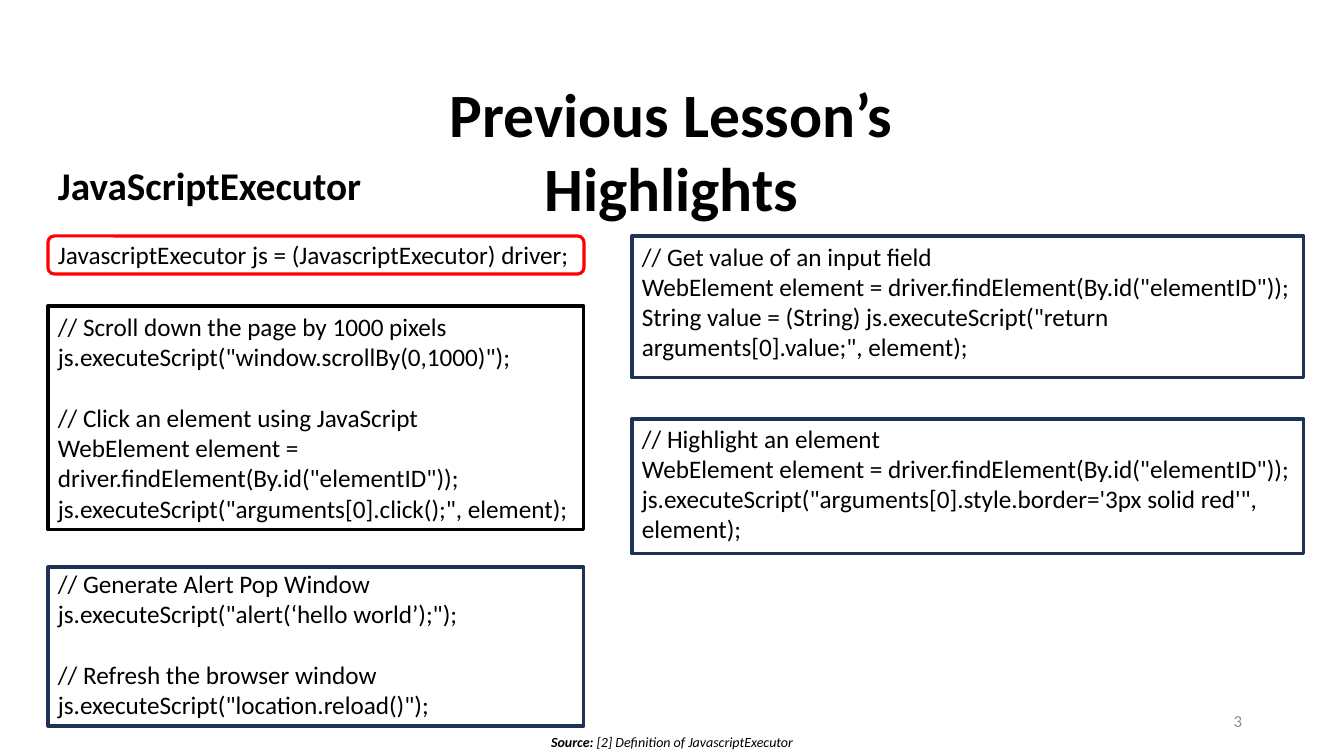
"""Build the JavaScriptExecutor highlights slide."""
from pptx import Presentation
from pptx.dml.color import RGBColor
from pptx.enum.shapes import MSO_SHAPE
from pptx.enum.text import MSO_ANCHOR, PP_ALIGN
from pptx.util import Emu, Pt

LEFT, CENTER, RIGHT = PP_ALIGN.LEFT, PP_ALIGN.CENTER, PP_ALIGN.RIGHT
TOP, MIDDLE = MSO_ANCHOR.TOP, MSO_ANCHOR.MIDDLE
RECTANGLE, ROUNDED = MSO_SHAPE.RECTANGLE, MSO_SHAPE.ROUNDED_RECTANGLE

COLORS = {"text": "000000", "muted": "8C8C8C", "navy": "1E3256", "red": "FF0000"}
FONT = "Calibri"
CODE_SIZE = 18
CODE_LINE = 22
SLIDE_SIZE = (1344, 756)
LEFT_COLUMN = (48, 536)
RIGHT_COLUMN = (632, 672)

LABELS = [
    ("Previous Lesson’s Highlights", (324, 71, 695, 85), 44, True, "text", CENTER, TOP),
    ("3", (950, 701, 302, 40), 12, False, "muted", RIGHT, MIDDLE),
    ("JavaScriptExecutor", (48, 156, 510, 57), 28, True, "text", LEFT, TOP),
]
SOURCE_BOX = (336, 729, 672, 27)
SOURCE_RUNS = [("Source:", True), ("\u00a0[2] Definition of JavascriptExecutor".replace("\u00a0", " "), False)]

# CODE
CODE = [
    (LEFT_COLUMN, 234, 40, [["JavascriptExecutor js = (JavascriptExecutor) driver;"]]),
    (LEFT_COLUMN, 306, 224, [
        ["// Scroll down the page by 1000 pixels",
         'js.executeScript("window.scrollBy(0,1000)");'],
        ["// Click an element using JavaScript",
         'WebElement element = driver.findElement(By.id("elementID")); '
         'js.executeScript("arguments[0].click();", element);'],
    ]),
    (LEFT_COLUMN, 563, 163, [
        ["// Generate Alert Pop Window", 'js.executeScript("alert(‘hello world’);");'],
        ["// Refresh the browser window", 'js.executeScript("location.reload()");'],
    ]),
    (RIGHT_COLUMN, 236, 163, [
        ["// Get value of an input field",
         'WebElement element = driver.findElement(By.id("elementID"));',
         'String value = (String) js.executeScript("return arguments[0].value;", element);'],
    ]),
    (RIGHT_COLUMN, 418, 132, [
        ["// Highlight an element",
         'WebElement element = driver.findElement(By.id("elementID")); '
         "js.executeScript(\"arguments[0].style.border='3px solid red'\", element);"],
    ]),
]
FRAMES = [
    (LEFT_COLUMN, 236, 38, ROUNDED, "red"),
    (LEFT_COLUMN, 306, 224, RECTANGLE, "text"),
    (LEFT_COLUMN, 567, 159, RECTANGLE, "navy"),
    (RIGHT_COLUMN, 236, 142, RECTANGLE, "navy"),
    (RIGHT_COLUMN, 419, 135, RECTANGLE, "navy"),
]


def px(value):
    return Emu(round(value * 914400 / 100.8))


def color(name):
    return RGBColor.from_string(COLORS[name])


def style(font, size, bold=False, color_name="text"):
    font.name, font.size, font.bold = FONT, Pt(size), bold
    font.color.rgb = color(color_name)


def add_text_frame(slide, box, anchor=TOP):
    text_frame = slide.shapes.add_textbox(*map(px, box)).text_frame
    text_frame.word_wrap = True
    text_frame.vertical_anchor = anchor
    return text_frame


def add_label(slide, text, box, size, bold, color_name, alignment, anchor):
    paragraph = add_text_frame(slide, box, anchor).paragraphs[0]
    paragraph.text = text
    paragraph.alignment = alignment
    style(paragraph.font, size, bold, color_name)


def add_code(slide, column, top, height, groups):
    left, width = column
    text_frame = add_text_frame(slide, (left, top, width, height))
    text_frame.text = "\n".join(line for group in groups for line in group)
    for paragraph in text_frame.paragraphs:
        style(paragraph.font, CODE_SIZE)
    start = 0
    for group in groups[:-1]:
        start += len(group)
        text_frame.paragraphs[start].space_before = Pt(CODE_LINE)


def add_frame(slide, column, top, height, kind, color_name):
    left, width = column
    shape = slide.shapes.add_shape(kind, px(left), px(top), px(width), px(height))
    shape.shadow.inherit = False
    shape.fill.background()
    shape.line.color.rgb = color(color_name)
    shape.line.width = Pt(2.25)


def add_source(slide):
    paragraph = add_text_frame(slide, SOURCE_BOX).paragraphs[0]
    paragraph.alignment = CENTER
    for text, bold in SOURCE_RUNS:
        run = paragraph.add_run()
        run.text = text
        style(run.font, 10, bold)
        run.font.italic = True


def main():
    presentation = Presentation()
    presentation.slide_width, presentation.slide_height = map(px, SLIDE_SIZE)
    slide = presentation.slides.add_slide(presentation.slide_layouts[6])
    for label in LABELS:
        add_label(slide, *label)
    for code in CODE:
        add_code(slide, *code)
    for frame in FRAMES:
        add_frame(slide, *frame)
    add_source(slide)
    presentation.save("out.pptx")


if __name__ == "__main__":
    main()
